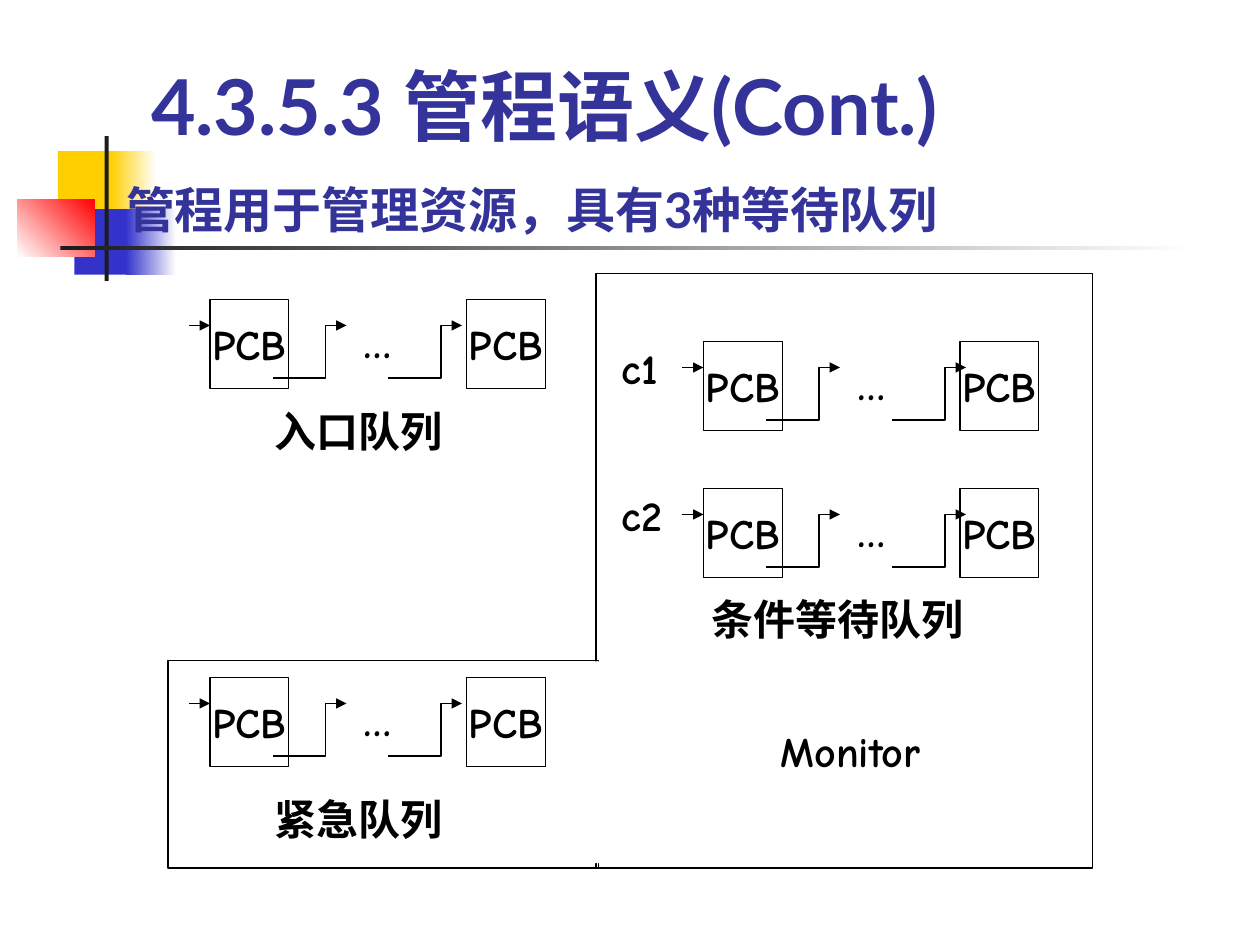
from dataclasses import dataclass

from lxml.etree import SubElement
from pptx import Presentation
from pptx.dml.color import RGBColor as Rgb
from pptx.enum.shapes import MSO_CONNECTOR as Connector, MSO_SHAPE as Preset
from pptx.enum.text import MSO_ANCHOR as Anchor, MSO_AUTO_SIZE as AutoSize, PP_ALIGN as Align
from pptx.oxml.ns import qn
from pptx.util import Pt


@dataclass(frozen=True)
class Theme:
    ink: str = "000000"
    heading: str = "333399"
    paper: str = "FFFFFF"
    yellow: str = "FFCF01"
    blue: str = "3333CC"
    red: str = "FF0000"
    bar: str = "1C1C1C"
    heading_font: str = "Lato"
    body_font: str = "Comic Neue"
    heading_size: float = 44
    title_size: float = 28
    body_size: float = 24
    line_width: float = 0.75


THEME = Theme()


def write(shape, text, *, size=THEME.body_size, font=THEME.body_font, color=THEME.ink,
          align=Align.LEFT, anchor=Anchor.TOP, wrap=True, inset=7.2):
    frame = shape.text_frame
    frame.auto_size = AutoSize.NONE
    frame.word_wrap = wrap
    frame.vertical_anchor = anchor
    frame.margin_left = Pt(inset)
    para = frame.paragraphs[0]
    para.alignment = align
    span = para.add_run()
    span.text = text
    span.font.size = Pt(size)
    span.font.name = font
    span.font.bold = True
    span.font.color.rgb = Rgb.from_string(color)


class Canvas:
    def __init__(self, page, theme):
        self.page = page
        self.theme = theme

    def outline(self, shape, arrow=False):
        shape.line.color.rgb = Rgb.from_string(self.theme.ink)
        shape.line.width = Pt(self.theme.line_width)
        if arrow:
            line = shape.element.spPr.find(qn("a:ln"))
            SubElement(line, qn("a:tailEnd"), type="triangle")

    def box(self, left, top, width, height, fill=None, fade=None, angle=0, outlined=False):
        shape = self.page.shapes.add_shape(
            Preset.RECTANGLE, Pt(left), Pt(top), Pt(width), Pt(height))
        shape.shadow.inherit = False
        if fade:
            shape.fill.gradient()
            shape.fill.gradient_angle = angle
            for stop, color in zip(shape.fill.gradient_stops, (fill, fade)):
                stop.color.rgb = Rgb.from_string(color)
        elif fill:
            shape.fill.solid()
            shape.fill.fore_color.rgb = Rgb.from_string(fill)
        else:
            shape.fill.background()
        if outlined:
            self.outline(shape)
        else:
            shape.line.fill.background()
        return shape

    def label(self, text, left, top, width, height, **style):
        box = self.page.shapes.add_textbox(Pt(left), Pt(top), Pt(width), Pt(height))
        write(box, text, **style)

    def arrow(self, left, right, y):
        line = self.page.shapes.add_connector(
            Connector.STRAIGHT, Pt(left), Pt(y), Pt(right), Pt(y))
        self.outline(line, arrow=True)
        SubElement(line.element.spPr, qn("a:effectLst"))

    def elbow(self, left, top):
        builder = self.page.shapes.build_freeform(Pt(left), Pt(top + 30))
        corners = [(30, 30), (30, 0), (42, 0)]
        builder.add_line_segments(
            [(Pt(left + dx), Pt(top + dy)) for dx, dy in corners], close=False)
        link = builder.convert_to_shape()
        link.shadow.inherit = False
        link.fill.background()
        self.outline(link, arrow=True)

    def queue(self, left, top, second_link):
        centered = dict(align=Align.CENTER, anchor=Anchor.MIDDLE, wrap=False)
        for offset in (0, 146.64):
            block = self.box(left + offset, top, 45, 51, outlined=True)
            write(block, "PCB", **centered)
        link_top = top + 15
        for offset in (36, second_link):
            self.elbow(left + offset, link_top)
        self.label("…", left + 78, link_top, 36, 18, **centered)
        self.arrow(left - 12, left, link_top)

    def title(self, text, left, top, width, height, **style):
        holder = self.page.shapes.title
        holder.left, holder.top = Pt(left), Pt(top)
        holder.width, holder.height = Pt(width), Pt(height)
        write(holder, text, **style)
        self.page.shapes[-1].element.addnext(holder.element)


def main():
    theme = THEME
    deck = Presentation()
    deck.slide_width, deck.slide_height = Pt(720), Pt(540)
    canvas = Canvas(deck.slides.add_slide(deck.slide_layouts[5]), theme)

    canvas.box(33.12, 86.4, 34.56, 37.44, theme.yellow)
    canvas.box(63.36, 86.4, 25.92, 37.44, theme.yellow, theme.paper)
    canvas.box(42.48, 119.52, 33.12, 37.44, theme.blue)
    canvas.box(72, 119.52, 28.8, 37.44, theme.blue, theme.paper)
    canvas.box(10.08, 113.76, 43.92, 33.12, theme.paper, theme.red, angle=45)
    canvas.box(59.76, 77.76, 2.4, 82.8, theme.bar)
    canvas.box(34.56, 140.4, 648, 2.4, theme.bar, theme.paper)

    canvas.box(96, 377.28, 246, 118.8, outlined=True)
    heading = dict(font=theme.heading_font, color=theme.heading, anchor=Anchor.BOTTOM)
    canvas.title("管程用于管理资源，具有3种等待队列", 54, 49.68, 612, 90,
                 size=theme.title_size, inset=18, **heading)
    canvas.box(340.56, 156.24, 283.68, 339.84, outlined=True)

    for left, top, second_link in [(402, 195, 108), (402, 279, 108),
                                   (120, 171, 102), (120, 387, 102)]:
        canvas.queue(left, top, second_link)

    for text, left, top, width in [
        ("c1", 348, 192, 42),
        ("c2", 348, 276, 48),
        ("入口队列", 150, 228, 120),
        ("紧急队列", 150, 450, 120),
        ("条件等待队列", 399.6, 335.52, 198.72),
    ]:
        canvas.label(text, left, top, width, 36)

    canvas.label("Monitor", 402, 408, 168, 42,
                 align=Align.CENTER, anchor=Anchor.MIDDLE, wrap=False)
    canvas.box(336, 378, 12, 115.2, theme.paper)
    canvas.label("4.3.5.3 管程语义(Cont.)", 79.2, 0, 613.44, 90,
                 size=theme.heading_size, **heading)
    deck.save("out.pptx")


if __name__ == "__main__":
    main()
